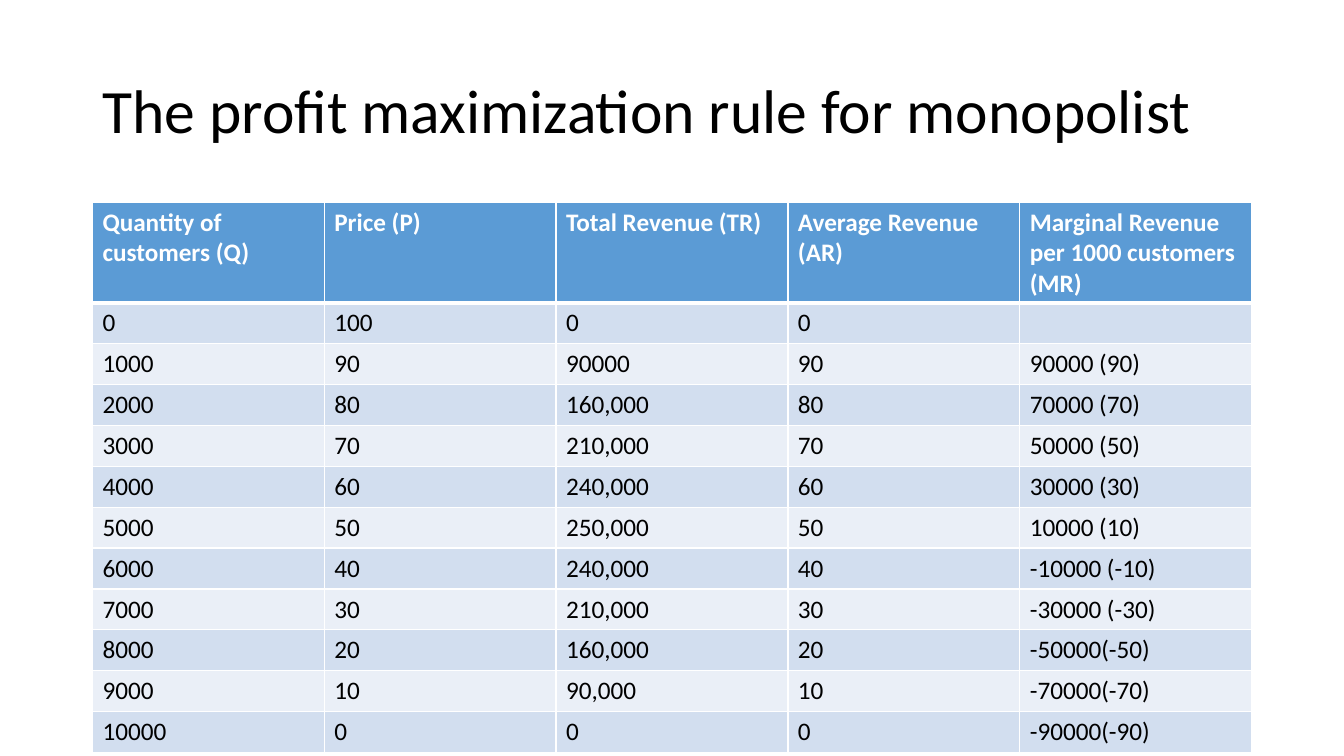
from lxml.etree import SubElement
from pptx import Presentation
from pptx.dml.color import RGBColor
from pptx.enum.text import MSO_ANCHOR
from pptx.oxml.ns import qn
from pptx.util import Cm, Pt

# Content
TITLE = "The profit maximization rule for monopolist"
ROWS = [
    ("Quantity of customers (Q)", "Price (P)", "Total Revenue (TR)",
     "Average Revenue (AR)", "Marginal Revenue per 1000 customers (MR)"),
    ("0", "100", "0", "0", ""),
    ("1000", "90", "90000", "90", "90000 (90)"),
    ("2000", "80", "160,000", "80", "70000 (70)"),
    ("3000", "70", "210,000", "70", "50000 (50)"),
    ("4000", "60", "240,000", "60", "30000 (30)"),
    ("5000", "50", "250,000", "50", "10000 (10)"),
    ("6000", "40", "240,000", "40", "-10000 (-10)"),
    ("7000", "30", "210,000", "30", "-30000 (-30)"),
    ("8000", "20", "160,000", "20", "-50000(-50)"),
    ("9000", "10", "90,000", "10", "-70000(-70)"),
    ("10000", "0", "0", "0", "-90000(-90)"),
]
FONT = "Calibri"
HEADER_FILL, BAND_FILLS = "5B9BD5", ("EAEFF7", "D2DEEF")
WHITE, BLACK = "FFFFFF", "000000"

# Layout
LEFT, WIDTH = Cm(2.33), Cm(29.21)
TITLE_TOP, TITLE_HEIGHT = Cm(1.01), Cm(3.68)
TABLE_TOP, ROW_HEIGHT = Cm(5.09), Cm(1.03)


def color(value):
    return RGBColor.from_string(value)


def style(para, size, ink, bold=False):
    for span in para.runs:
        span.font.name = FONT
        span.font.size = Pt(size)
        span.font.bold = bold
        span.font.color.rgb = color(ink)


def add_border(cell, side, points):
    line = SubElement(cell._tc.get_or_add_tcPr(), qn(f"a:ln{side}"), w=str(Pt(points)))
    fill = SubElement(line, qn("a:solidFill"))
    SubElement(fill, qn("a:srgbClr"), val=WHITE)


deck = Presentation()
deck.slide_width, deck.slide_height = Cm(33.87), Cm(19.05)
page = deck.slides.add_slide(deck.slide_layouts[6])

# Title
box = page.shapes.add_textbox(LEFT, TITLE_TOP, WIDTH, TITLE_HEIGHT)
frame = box.text_frame
frame.word_wrap = True
frame.vertical_anchor = MSO_ANCHOR.MIDDLE
frame.text = TITLE
frame.paragraphs[0].line_spacing = 0.9
style(frame.paragraphs[0], 44, BLACK)

# Revenue table
table = page.shapes.add_table(len(ROWS), len(ROWS[0]), LEFT, TABLE_TOP,
                              WIDTH, ROW_HEIGHT * len(ROWS)).table
for row_index, values in enumerate(ROWS):
    table.rows[row_index].height = ROW_HEIGHT
    is_header = row_index == 0
    fill_color = HEADER_FILL if is_header else BAND_FILLS[row_index % 2]
    for column_index, value in enumerate(values):
        cell = table.cell(row_index, column_index)
        cell.text_frame.text = value
        style(cell.text_frame.paragraphs[0], 18, WHITE if is_header else BLACK, is_header)
        borders = {"L": 1, "R": 1, "T": 3 if row_index == 1 else 1, "B": 3 if is_header else 1}
        for side, points in borders.items():
            add_border(cell, side, points)
        cell.fill.solid()
        cell.fill.fore_color.rgb = color(fill_color)

# The odd data rows carry the darker band
for row_index in range(1, len(ROWS)):
    for cell in table.rows[row_index].cells:
        cell.fill.fore_color.rgb = color(BAND_FILLS[row_index % 2])

deck.save("out.pptx")
